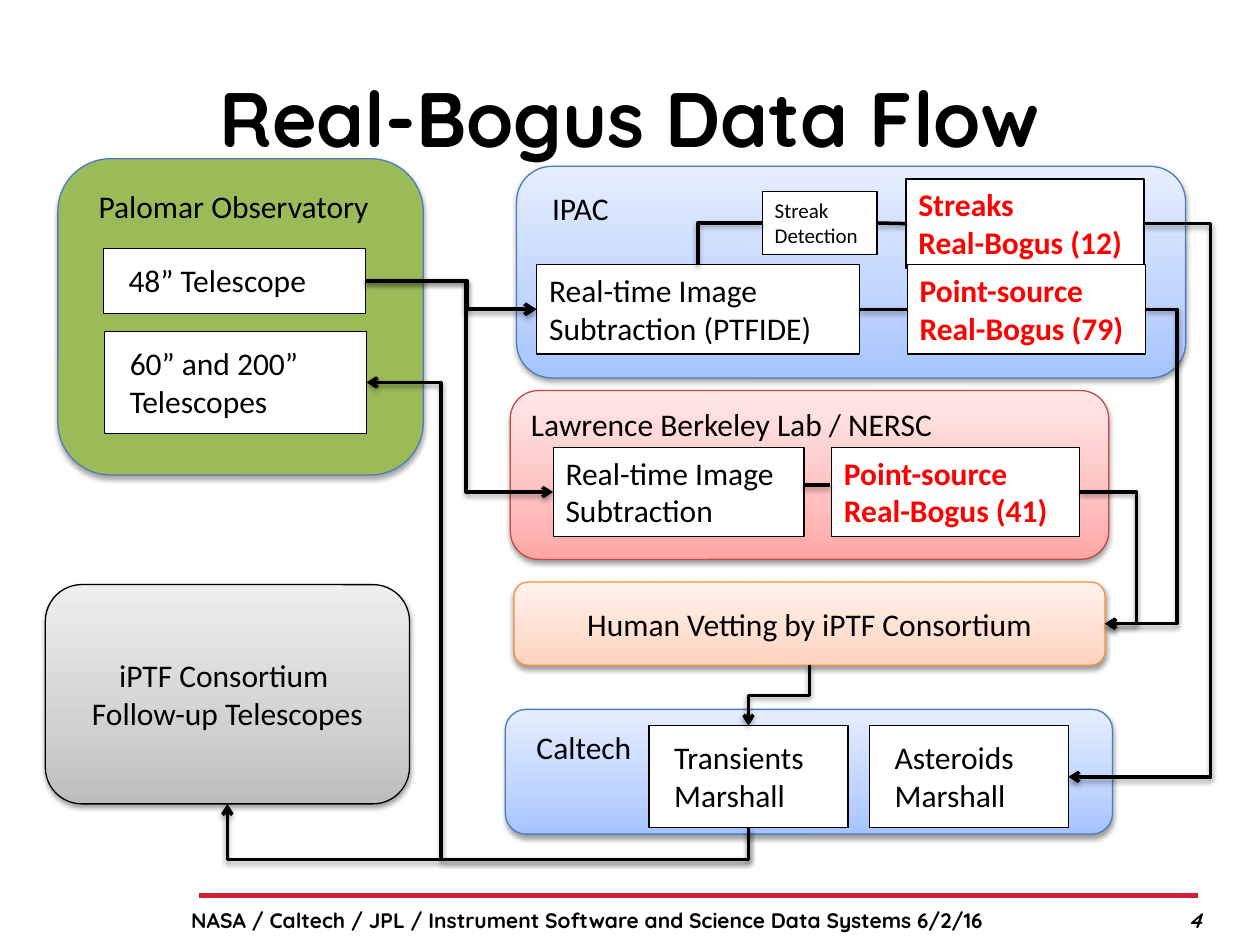
from lxml import etree
from pptx import Presentation
from pptx.dml.color import RGBColor
from pptx.enum.shapes import MSO_CONNECTOR, MSO_SHAPE
from pptx.enum.text import MSO_ANCHOR, MSO_AUTO_SIZE, PP_ALIGN
from pptx.oxml.ns import qn
from pptx.util import Inches, Pt

LEFT, CENTER, RIGHT = PP_ALIGN.LEFT, PP_ALIGN.CENTER, PP_ALIGN.RIGHT
TOP_ANCHOR, MIDDLE = MSO_ANCHOR.TOP, MSO_ANCHOR.MIDDLE
STRAIGHT, ELBOW = MSO_CONNECTOR.STRAIGHT, MSO_CONNECTOR.ELBOW
RECTANGLE, ROUNDED = MSO_SHAPE.RECTANGLE, MSO_SHAPE.ROUNDED_RECTANGLE
TOP_SIDE, LEFT_SIDE, BOTTOM_SIDE, RIGHT_SIDE = range(4)

BLUE = ("A4C4FF", "BFD4FF", "E6EEFF")
GRAY = ("BDBDBD", "D1D1D1", "EEEEEE")
PINK = ("FFA6A5", "FFC0BF", "FFE7E7")
ORANGE = ("FFD2BD", "FFDED0", "FFF2ED")
GRADIENT_POSITIONS = (0, 35, 100)
BLACK, WHITE, RED, BLUE_LINE = "000000", "FFFFFF", "FF0000", "4B7EBC"
WIDE_INSETS = (0.2, 0.1)
NARROW_INSETS = (0.1, 0.05)


def color(value):
    return RGBColor.from_string(value)


def add_xml(parent, tag, **attributes):
    return etree.SubElement(parent, qn(tag), {k: str(v) for k, v in attributes.items()})


def write(shape, text, size=18, font="Calibri", text_color=BLACK, bold=False, italic=False,
          align=LEFT, anchor=TOP_ANCHOR, insets=NARROW_INSETS):
    frame = shape.text_frame
    frame.text = text
    frame.word_wrap = True
    frame.vertical_anchor = anchor
    frame.margin_left = frame.margin_right = Inches(insets[0])
    frame.margin_top = frame.margin_bottom = Inches(insets[1])
    for paragraph in frame.paragraphs:
        paragraph.alignment = align
        for run in paragraph.runs:
            run.font.size, run.font.name = Pt(size), font
            run.font.bold, run.font.italic = bold, italic
            run.font.color.rgb = color(text_color)


def add_shadow(shape, distance=20000, opacity=38):
    effects = add_xml(shape._element.spPr, "a:effectLst")
    shadow = add_xml(effects, "a:outerShdw", blurRad=40000, dist=distance,
                     dir=5400000, rotWithShape=0)
    add_xml(add_xml(shadow, "a:srgbClr", val=BLACK), "a:alpha", val=opacity * 1000)


def fill_shape(shape, fill):
    """Fill with one colour, or with a gradient rising from the bottom."""
    if isinstance(fill, str):
        shape.fill.solid()
        shape.fill.fore_color.rgb = color(fill)
        return
    shape.fill.gradient()
    shape.fill.gradient_angle = 90
    stops = shape._element.spPr.find(".//" + qn("a:gsLst"))
    for stop in list(stops):
        stops.remove(stop)
    for position, value in zip(GRADIENT_POSITIONS, fill):
        add_xml(add_xml(stops, "a:gs", pos=position * 1000), "a:srgbClr", val=value)


def add_block(slide, kind, place, fill, line, text, **text_format):
    shape = slide.shapes.add_shape(kind, *map(Inches, place))
    fill_shape(shape, fill)
    shape.line.color.rgb = color(line)
    shape.line.width = Pt(0.75)
    write(shape, text, **text_format)
    return shape


def add_panel(slide, place, fill, line, text, shadow=(20000, 38), **text_format):
    panel = add_block(slide, ROUNDED, place, fill, line, text, **text_format)
    add_shadow(panel, *shadow)
    return panel


def add_box(slide, place, text, **text_format):
    box = add_block(slide, RECTANGLE, place, WHITE, BLACK, text, **text_format)
    box.shadow.inherit = False
    box.text_frame.auto_size = MSO_AUTO_SIZE.SHAPE_TO_FIT_TEXT
    return box


def add_label(slide, place, text, **text_format):
    label = slide.shapes.add_textbox(*map(Inches, place))
    write(label, text, size=12, font="Quicksand", bold=True, anchor=MIDDLE, **text_format)


def side_middle(shape, side):
    x, y = shape.left + shape.width / 2, shape.top + shape.height / 2
    return {TOP_SIDE: (x, shape.top), LEFT_SIDE: (shape.left, y),
            BOTTOM_SIDE: (x, shape.top + shape.height),
            RIGHT_SIDE: (shape.left + shape.width, y)}[side]


def style_connector(connector, width=2, line=BLACK):
    connector.line.color.rgb = color(line)
    connector.line.width = Pt(width)


def add_straight(slide, start, end, **style):
    connector = slide.shapes.add_connector(STRAIGHT, *map(Inches, start + end))
    style_connector(connector, **style)
    return connector


def add_link(slide, first, second):
    """Join the right side of one box to the left side of the next."""
    connector = add_straight(slide, (0, 0), (1, 1))
    connector.begin_connect(first, RIGHT_SIDE)
    connector.end_connect(second, LEFT_SIDE)
    add_shadow(connector)


def add_elbow(slide, source, target, turns, arrow=True, width=2):
    """Route between (shape, side) ends; turns are the inner x or y positions in inches."""
    start, end = side_middle(*source), side_middle(*target)
    vertical = source[1] in (TOP_SIDE, BOTTOM_SIDE)
    along, across = (1, 0) if vertical else (0, 1)
    delta = [end[axis] - start[axis] for axis in (0, 1)]
    connector = slide.shapes.add_connector(ELBOW, 0, 0, 0, 0)
    connector.width, connector.height = int(abs(delta[along])), int(abs(delta[across]))
    connector.left = int((start[0] + end[0] - connector.width) / 2)
    connector.top = int((start[1] + end[1] - connector.height) / 2)

    properties = connector._element.spPr
    frame = properties.find(qn("a:xfrm"))
    if vertical:
        frame.set("rot", "5400000")
    if delta[along] < 0:
        frame.set("flipH", "1")
    if (delta[across] > 0) if vertical else (delta[across] < 0):
        frame.set("flipV", "1")

    geometry = properties.find(qn("a:prstGeom"))
    geometry.set("prst", f"bentConnector{2 + len(turns)}")
    guides = geometry.find(qn("a:avLst"))
    for number, (turn, axis) in enumerate(zip(turns, (along, across)), 1):
        share = (Inches(turn) - start[axis]) / delta[axis]
        add_xml(guides, "a:gd", name=f"adj{number}", fmla=f"val {round(share * 100000)}")

    style_connector(connector, width)
    if arrow:
        add_xml(connector.line._get_or_add_ln(), "a:tailEnd", type="arrow")
    add_shadow(connector)


def add_footer(slide):
    rule = add_straight(slide, (1.58, 7.11), (9.51, 7.11), width=3, line="D32037")
    add_xml(rule._element.spPr, "a:effectLst")
    add_label(slide, (7.18, 7.1, 2.33, 0.4), "6/2/16")
    add_label(slide, (1.35, 7.1, 6.06, 0.4), align=CENTER,
              text="NASA / Caltech / JPL / Instrument Software and Science Data Systems")
    add_label(slide, (7.31, 7.1, 2.33, 0.4), "4", align=RIGHT, italic=True)


def main():
    presentation = Presentation()
    presentation.slide_width, presentation.slide_height = Inches(10), Inches(7.5)
    slide = presentation.slides.add_slide(presentation.slide_layouts[5])
    title = slide.shapes.title
    title.left, title.top, title.width, title.height = map(Inches, (0.5, 0.3, 9, 1.25))
    write(title, "Real-Bogus Data Flow", size=44, font="Quicksand", bold=True,
          align=CENTER, anchor=MIDDLE)
    add_footer(slide)

    wide = {"insets": WIDE_INSETS}
    centered = {"align": CENTER, "anchor": MIDDLE}
    alert = {"text_color": RED, "bold": True}

    add_panel(slide, (4.1, 1.32, 5.31, 1.68), BLUE, BLUE_LINE, "IPAC", **wide)
    add_panel(slide, (0.46, 1.26, 2.9, 2.51), "9BBB59", BLUE_LINE, "Palomar Observatory",
              shadow=(23000, 35), **wide)
    follow_up = add_panel(slide, (0.36, 4.64, 2.89, 1.74), GRAY, BLACK,
                          "iPTF Consortium \nFollow-up Telescopes", **wide, **centered)
    add_panel(slide, (4.01, 5.63, 4.82, 0.99), BLUE, BLUE_LINE, "Caltech", **wide)
    add_panel(slide, (4.05, 3.1, 4.75, 1.34), PINK, "BF4C48", "Lawrence Berkeley Lab / NERSC")
    vetting = add_panel(slide, (4.08, 4.62, 4.69, 0.66), ORANGE, "F69240",
                        "Human Vetting by iPTF Consortium", **centered)

    survey = add_box(slide, (0.82, 1.97, 2.08, 0.52), "48” Telescope", **wide)
    large = add_box(slide, (0.83, 2.63, 2.08, 0.81), "60” and 200” Telescopes", **wide)
    transients = add_box(slide, (5.15, 5.76, 1.58, 0.81), "Transients Marshall", **wide)
    asteroids = add_box(slide, (6.9, 5.76, 1.58, 0.81), "Asteroids\nMarshall", **wide)
    lab = add_box(slide, (4.39, 3.55, 1.99, 0.71), "Real-time Image Subtraction")
    lab_bogus = add_box(slide, (6.6, 3.55, 1.97, 0.71),
                        "Point-source\nReal-Bogus (41)", **alert)
    ptfide = add_box(slide, (4.26, 2.1, 2.56, 0.71), "Real-time Image Subtraction (PTFIDE)")
    streaks = add_box(slide, (7.19, 1.42, 1.89, 0.71), "Streaks\nReal-Bogus (12)", **alert)
    points = add_box(slide, (7.2, 2.1, 1.89, 0.71), "Point-source Real-Bogus (79)", **alert)
    detection = add_box(slide, (6.05, 1.52, 0.91, 0.5), "Streak\nDetection", size=12)

    add_elbow(slide, (survey, RIGHT_SIDE), (ptfide, LEFT_SIDE), [3.71], width=2.25)
    add_elbow(slide, (survey, RIGHT_SIDE), (lab, LEFT_SIDE), [3.7])
    add_elbow(slide, (transients, BOTTOM_SIDE), (follow_up, BOTTOM_SIDE), [6.82])
    add_elbow(slide, (transients, BOTTOM_SIDE), (large, RIGHT_SIDE), [6.82, 3.5])
    add_elbow(slide, (points, RIGHT_SIDE), (vetting, RIGHT_SIDE), [9.34])
    add_elbow(slide, (lab_bogus, RIGHT_SIDE), (vetting, RIGHT_SIDE), [9.02])
    add_elbow(slide, (vetting, BOTTOM_SIDE), (transients, TOP_SIDE), [5.52])
    add_elbow(slide, (ptfide, TOP_SIDE), (detection, LEFT_SIDE), [], arrow=False)
    add_elbow(slide, (streaks, RIGHT_SIDE), (asteroids, RIGHT_SIDE), [9.61])
    add_link(slide, ptfide, points)
    add_link(slide, detection, streaks)
    add_shadow(add_straight(slide, (6.37, 3.85), (6.59, 3.85)))

    presentation.save("out.pptx")


if __name__ == "__main__":
    main()
